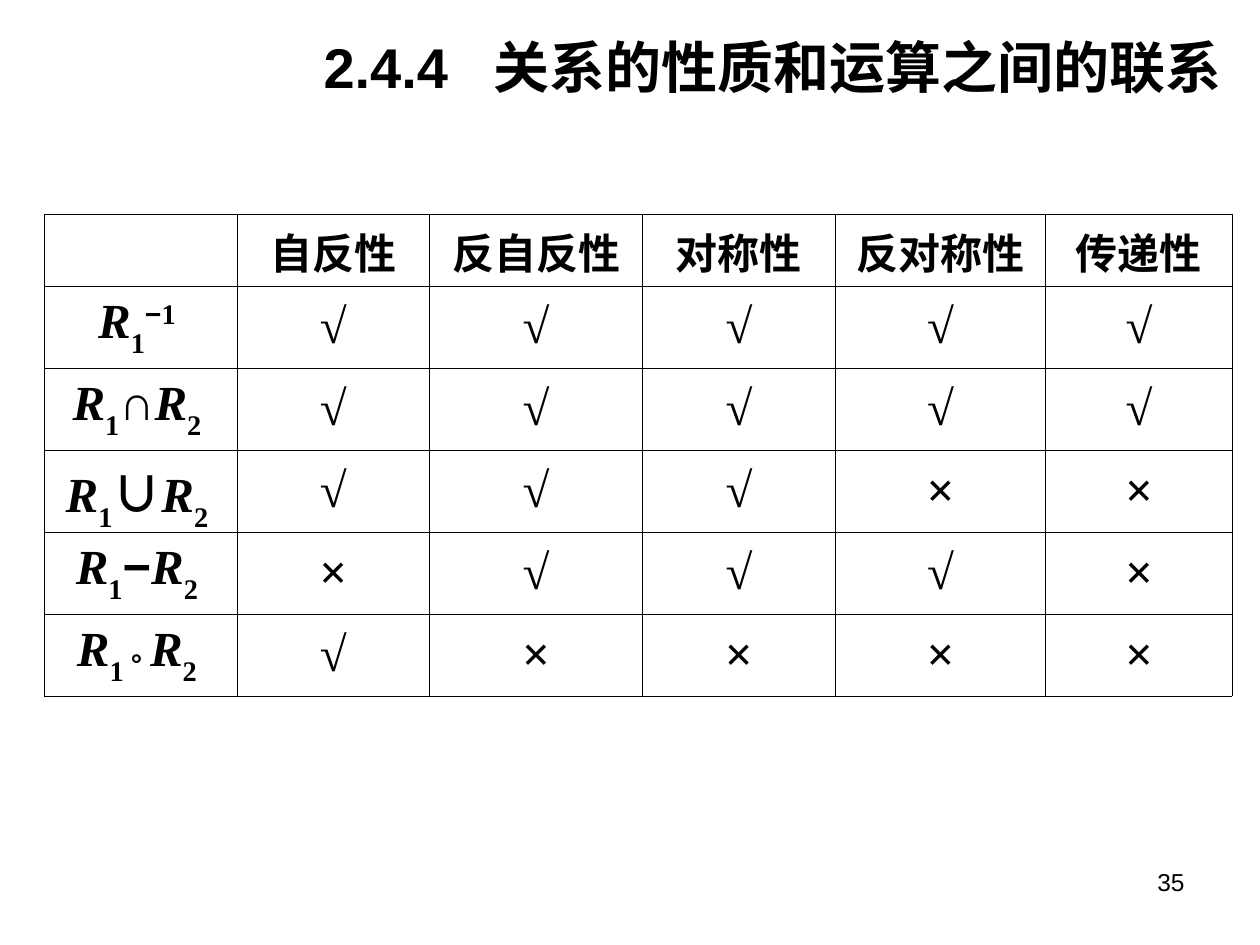
"""Build the slide on how relation operations preserve relation properties."""
from lxml.etree import SubElement
from pptx import Presentation
from pptx.dml.color import RGBColor
from pptx.enum.text import MSO_ANCHOR, PP_ALIGN
from pptx.oxml import parse_xml
from pptx.oxml.ns import nsdecls, qn
from pptx.util import Inches, Pt

COLORS = {"ink": "000000", "paper": "FFFFFF"}
CJK, SANS, SERIF = "Noto Sans CJK SC", "Arial", "Times New Roman"
HEADING = {"name": SANS, "bold": True}
SYMBOL = {"name": SERIF, "size": Pt(28), "bold": True}


def add_run(p, text, fmt, ea=None, base=0):
    r = p.add_run()
    r.text = text
    for key, value in fmt.items():
        setattr(r.font, key, value)
    r.font.color.rgb = RGBColor.from_string(COLORS["ink"])
    rPr = r._r.get_or_add_rPr()
    if base:
        rPr.set("baseline", str(base * 1000))
    SubElement(rPr, qn("a:ea")).set("typeface", ea or fmt["name"])


def set_border(cell, index, side, width):
    cell._tc.get_or_add_tcPr().insert(index, parse_xml(
        f'<a:ln{side} {nsdecls("a")} w="{Pt(width)}"><a:solidFill>'
        f'<a:srgbClr val="{COLORS["ink"]}"/></a:solidFill></a:ln{side}>'))


prs = Presentation()
prs.slide_width, prs.slide_height = Inches(10), Inches(7.5)
s = prs.slides.add_slide(prs.slide_layouts[6])
s.background.fill.solid()
s.background.fill.fore_color.rgb = RGBColor.from_string(COLORS["paper"])

number = s.shapes.add_textbox(Inches(7.17), Inches(6.83), Inches(2.33), Inches(0.52))
number.text_frame.word_wrap = True
p = number.text_frame.paragraphs[0]
p.alignment = PP_ALIGN.RIGHT
add_run(p, "35", {"name": SANS, "size": Pt(14)})

headers = ["", "自反性", "反自反性", "对称性", "反对称性", "传递性"]
R = ("R", {"italic": True}, SERIF, 0)
one, two = ("1", {}, SERIF, -30), ("2 ", {}, SERIF, -30)
rows = [
    ([R, one, ("−", {"name": SANS}, SANS, 30), ("1 ", {}, SERIF, 30)], "√√√√√"),
    ([R, one, ("∩", {}, SERIF, 0), R, two], "√√√√√"),
    ([R, one, ("∪", {"name": CJK}, CJK, 0), R, two], "√√√××"),
    ([R, one, ("−", {"name": SANS}, SANS, 0), R, two], "×√√√×"),
    ([R, ("1 ", {}, SERIF, -30), ("° ", {"name": SANS}, CJK, -16), R, two], "√××××"),
]
widths = [1.53, 1.53, 1.69, 1.53, 1.67, 1.48]
heights = [0.57] + [0.65] * len(rows)
table = s.shapes.add_table(len(heights), len(widths), Inches(0.35), Inches(1.7),
                           Inches(sum(widths)), Inches(sum(heights))).table
table.first_row = table.horz_banding = False
for column, width in zip(table.columns, widths):
    column.width = Inches(width)
for row, height in zip(table.rows, heights):
    row.height = Inches(height)

for i in range(len(heights)):
    for j in range(len(widths)):
        cell = table.cell(i, j)
        cell.fill.background()
        cell.vertical_anchor = MSO_ANCHOR.MIDDLE
        outer = [j == 0, j == len(widths) - 1, i == 0, i == len(heights) - 1]
        for index, (side, edge) in enumerate(zip("LRTB", outer)):
            set_border(cell, index, side, 0.34 if edge else 0.45)
        p = cell.text_frame.paragraphs[0]
        p.alignment = PP_ALIGN.CENTER
        if i == 0:
            if headers[j]:
                add_run(p, headers[j], {**HEADING, "size": Pt(24)}, CJK)
        elif j == 0:
            for text, extra, ea, base in rows[i - 1][0]:
                add_run(p, text, {**SYMBOL, **extra}, ea, base)
        else:
            add_run(p, rows[i - 1][1][j - 1], SYMBOL)

title = s.shapes.add_textbox(Inches(2.47), Inches(0.21), Inches(7.33), Inches(0.64))
tf = title.text_frame
tf.word_wrap = True
tf.margin_right = 0
p = tf.paragraphs[0]
tabs = SubElement(p._p.get_or_add_pPr(), qn("a:tabLst"))
SubElement(tabs, qn("a:tab"), pos=str(Inches(1.35)), algn="l")
add_run(p, "2.4.4\t关系的性质和运算之间的联系", {**HEADING, "size": Pt(32)}, CJK)

prs.save("out.pptx")
